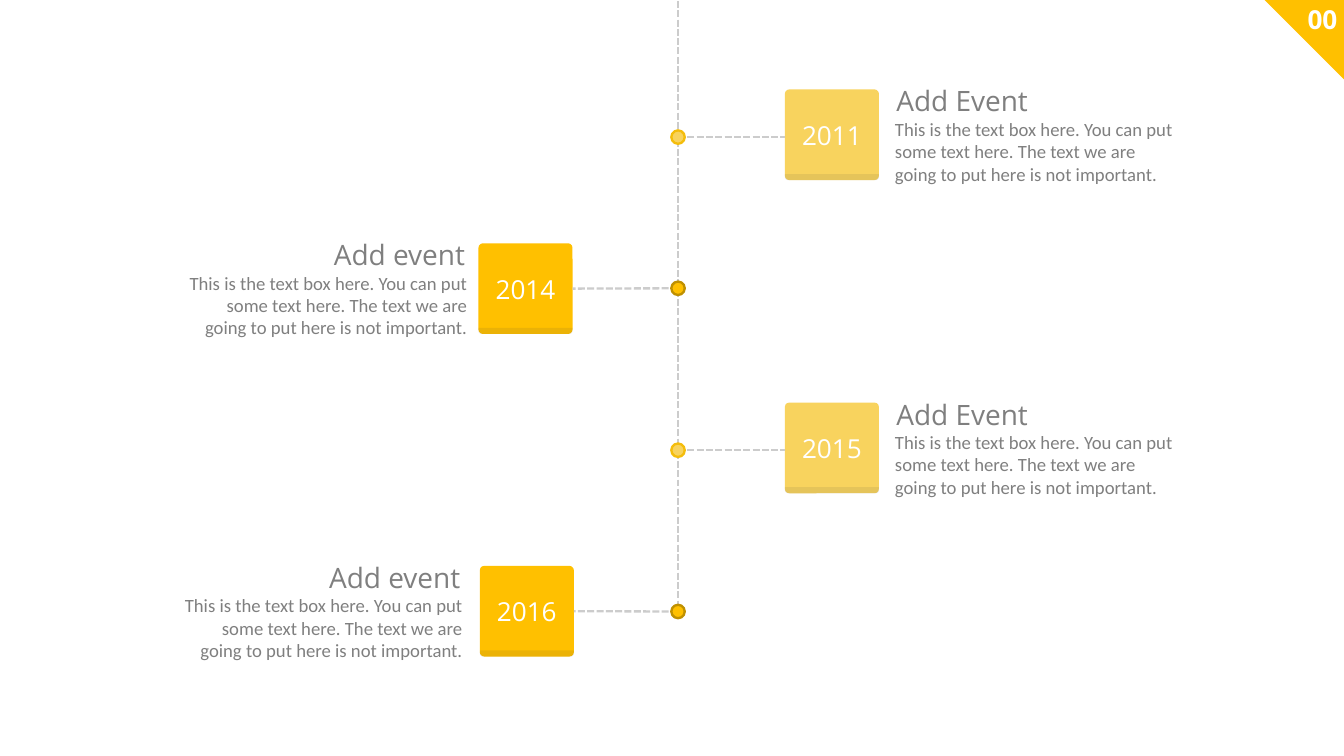
from lxml import etree
from pptx import Presentation
from pptx import util as u
from pptx.dml.color import RGBColor
from pptx.enum import dml, shapes, text
from pptx.oxml.ns import qn

WHITE = RGBColor(0xFF, 0xFF, 0xFF)
GRAY = RGBColor(0x7F, 0x7F, 0x7F)
LINE = RGBColor(0xCC, 0xCC, 0xCC)
SHADE = RGBColor(0x40, 0x40, 0x40)
AMBER = RGBColor(0xFF, 0xC0, 0x00)
AMBER_EDGE = RGBColor(0xBF, 0x90, 0x00)
PALE = RGBColor(0xF8, 0xD3, 0x5E)
PALE_EDGE = RGBColor(0xF4, 0xBD, 0x0C)
BODY = ("This is the text box here. You can put some text here. "
        "The text we are going to put here is not important.")
TITLE_FONT = {"size": u.Pt(30), "name": "Open Sans"}
BODY_FONT = {"size": u.Pt(20), "name": "Calibri"}
YEAR_FONT = {"size": u.Pt(28), "name": "Open Sans"}
NUMBER_FONT = {"size": u.Pt(28), "name": "Open Sans", "bold": True}
LEFT, CENTER, RIGHT = text.PP_ALIGN.LEFT, text.PP_ALIGN.CENTER, text.PP_ALIGN.RIGHT
AXIS = 10.09
BOX_W, BOX_H = 1.4, 1.35

prs = Presentation()
prs.slide_width, prs.slide_height = u.Inches(20), u.Inches(11.25)
s = prs.slides.add_slide(prs.slide_layouts[6])


def add_shape(kind, x, y, w, h, fill, adj=()):
    sp = s.shapes.add_shape(kind, *map(u.Inches, (x, y, w, h)))
    sp.shadow.inherit = False
    sp.fill.solid()
    sp.fill.fore_color.rgb = fill
    sp.line.fill.background()
    for i, value in enumerate(adj):
        sp.adjustments[i] = value
    return sp


def write(sp, words, fmt, color, align, wrap=True):
    tf = sp.text_frame
    tf.word_wrap = wrap
    p = tf.paragraphs[0]
    p.alignment = align
    r = p.add_run()
    r.text = words
    for name, value in fmt.items():
        setattr(r.font, name, value)
    r.font.color.rgb = color
    return tf


corner = add_shape(shapes.MSO_SHAPE.ISOSCELES_TRIANGLE, 18.82, 0, 1.18, 1.18, AMBER, [0])
corner.rotation = 180
number = s.shapes.add_textbox(*map(u.Inches, (19.35, 0, 0.65, 0.57)))
tf = write(number, "00", NUMBER_FONT, WHITE, RIGHT, False)
tf.auto_size = text.MSO_AUTO_SIZE.SHAPE_TO_FIT_TEXT

lines = []
for top, bottom in [(-0.17, 2.04), (1.94, 4.31), (4.31, 6.67), (6.72, 9.08)]:
    lines.append(s.shapes.add_connector(
        shapes.MSO_CONNECTOR.STRAIGHT, *map(u.Inches, (AXIS, top, AXIS, bottom))))

events = [
    ("2011", 2.04, 11.68, 1.33, 13.22),
    ("2014", 4.29, 7.12, 3.62, 2.65),
    ("2015", 6.7, 11.68, 5.99, 13.22),
    ("2016", 9.1, 7.14, 8.42, 2.58),
]
for year, y, box_x, box_y, body_x in events:
    on_left = box_x < AXIS
    fill, edge = (AMBER, AMBER_EDGE) if on_left else (PALE, PALE_EDGE)
    align = RIGHT if on_left else LEFT
    title, title_x = ("Add event", body_x + 2.2) if on_left else ("Add Event", body_x + 0.02)

    box = add_shape(shapes.MSO_SHAPE.ROUNDED_RECTANGLE, box_x, box_y, BOX_W, BOX_H, fill, [0.049])
    tf = write(box, year, YEAR_FONT, WHITE, CENTER)
    tf.vertical_anchor = text.MSO_ANCHOR.MIDDLE

    strip = add_shape(shapes.MSO_SHAPE.ROUND_2_SAME_RECTANGLE,
                      box_x, box_y + 1.26, BOX_W, 0.09, SHADE, [0, 0.5])
    color = strip.fill._xPr.find(qn("a:solidFill"))[0]
    etree.SubElement(color, qn("a:alpha"), val="10000")

    branch = s.shapes.add_connector(
        shapes.MSO_CONNECTOR.STRAIGHT, *map(u.Inches, (AXIS, y, box_x, y)))
    if on_left:
        branch.end_connect(box, 3)
    lines.append(branch)

    dot = add_shape(shapes.MSO_SHAPE.OVAL, AXIS - 0.1, y - 0.1, 0.2, 0.2, fill)
    dot.line.color.rgb = edge
    dot.line.width = u.Pt(2.5)

    for words, fmt, x, dy, w, h, wrap in [
        (title, TITLE_FONT, title_x, -0.13, 2.17, 0.61, False),
        (BODY, BODY_FONT, body_x, 0.37, 4.4, 1.11, True),
    ]:
        tb = s.shapes.add_textbox(*map(u.Inches, (x, box_y + dy, w, h)))
        tf = write(tb, words, fmt, GRAY, align, wrap)
        tf.auto_size = text.MSO_AUTO_SIZE.SHAPE_TO_FIT_TEXT

for line in lines:
    line.line.color.rgb = LINE
    line.line.width = u.Pt(2.5)
    line.line.dash_style = dml.MSO_LINE.SQUARE_DOT
    etree.SubElement(line._element.spPr, qn("a:effectLst"))
for end in ("a:headEnd", "a:tailEnd"):
    etree.SubElement(lines[0].line._get_or_add_ln(), qn(end), type="oval")

prs.save("out.pptx")
